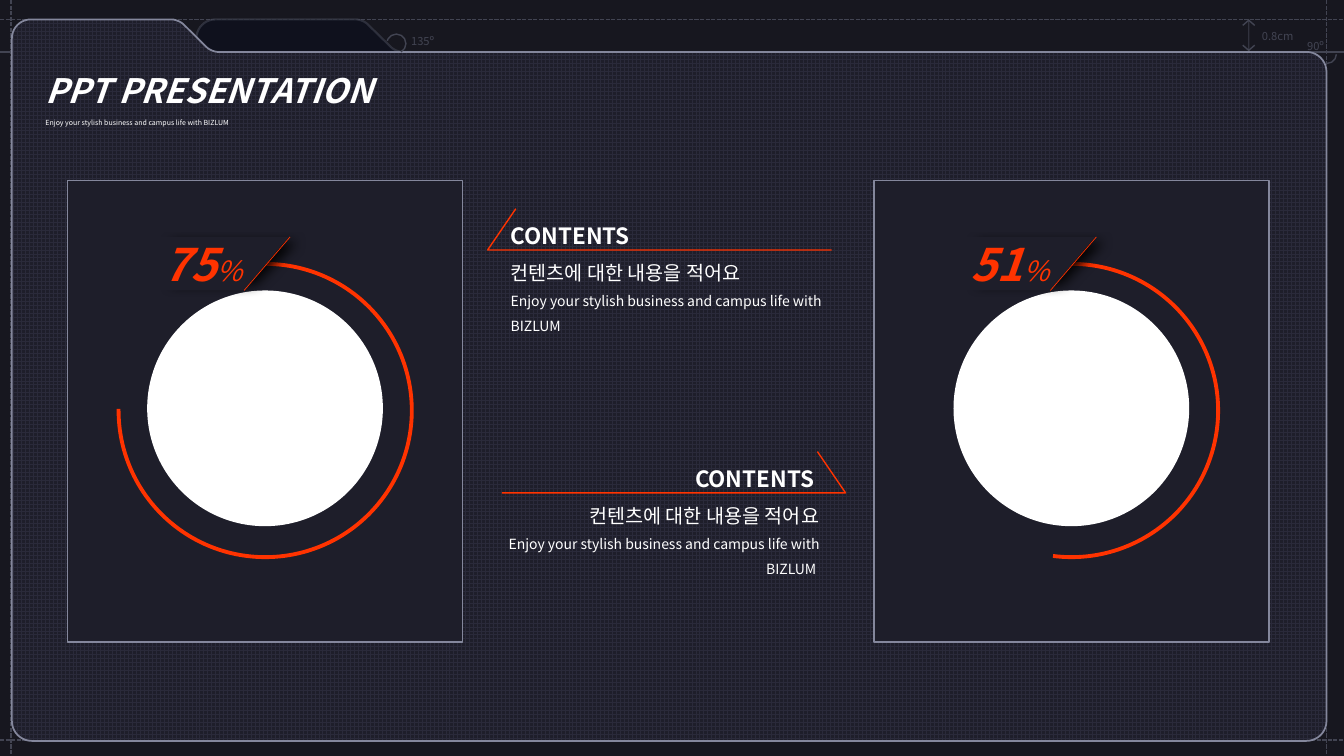
from pptx import Presentation
from pptx.dml.color import RGBColor
from pptx.enum.dml import MSO_LINE, MSO_PATTERN
from pptx.enum.shapes import MSO_CONNECTOR, MSO_SHAPE
from pptx.enum.text import MSO_ANCHOR, MSO_AUTO_SIZE, PP_ALIGN
from pptx.oxml import parse_xml
from pptx.oxml.ns import nsdecls, qn
from pptx.util import Cm, Pt

STRAIGHT = MSO_CONNECTOR.STRAIGHT
ARC, OVAL, RECT = MSO_SHAPE.ARC, MSO_SHAPE.OVAL, MSO_SHAPE.RECTANGLE
LEFT, RIGHT = PP_ALIGN.LEFT, PP_ALIGN.RIGHT
FONT = "Noto Sans CJK KR"
COLORS = {"back": "17171F", "guide": "424452", "tab": "0F111D", "tab_line": "4D505F",
          "grid": "2A2A3A", "panel": "1E1E2A", "edge": "84879C",
          "accent": "FF3300", "white": "FFFFFF"}

# Content; lengths in cm
TAGLINE = "Enjoy your stylish business and campus life with BIZLUM"
TITLE = [[("PPT PRESENTATION", 24, True, True)], [(TAGLINE, 5, False, False)]]
KOREAN = "컨텐츠에 대한 내용을 적어요"
# text left, top, alignment, trailing gap, pointer tip x, corner x, far end x
CONTENTS = [(12.62, 5.13, LEFT, "", 13.0, 12.29, 20.96),
            (12.52, 11.25, RIGHT, " ", 20.6, 21.31, 12.65)]
# panel left, percentage, end angle of the ring
GAUGES = [(1.7, "75", 180.6), (22.02, "51", 97.25)]
# left, top, width, wraps
GUIDE_LABELS = [("0.8cm", 31.55, 0.61, 1.6, True), ("90º", 32.69, 0.86, 0.99, False),
                ("135º", 10.11, 0.74, 1.12, False)]
# left, top, start angle, end angle
GUIDE_ARCS = [(33.2, 1.12, 2.2, 89.6), (9.75, 0.86, 196.6, 61.1)]
DASHED = [((0, 0.49), (33.9, 0.49)), ((0.28, 0), (0.28, 19.05)),
          ((33.43, 0), (33.43, 19.05)), ((0, 18.65), (33.87, 18.65))]
CHEVRONS = [(0.64, 0.51), (1.14, 1.27)]
# outline corners: x, y, rounding
BACK_TAB = [(4.95, 0.49, 0.48), (9.14, 0.49, 0.17), (9.98, 1.31, 0.17),
            (10.36, 1.31, 0), (10.36, 2.01, 0), (4.95, 2.01, 0)]
FRAME = [(0.3, 0.49, 0.48), (4.5, 0.49, 0.18), (5.33, 1.31, 0.17),
         (33.43, 1.31, 0.5), (33.43, 18.67, 0.5), (0.3, 18.67, 0.5)]

prs = Presentation()
prs.slide_width, prs.slide_height = Cm(33.87), Cm(19.05)
slide = prs.slides.add_slide(prs.slide_layouts[5])
shapes = slide.shapes


def rgb(name):
    return RGBColor.from_string(COLORS[name])


def set_fill(sp, color):
    sp.shadow.inherit = False
    if color:
        sp.fill.solid()
        sp.fill.fore_color.rgb = rgb(color)
    else:
        sp.fill.background()


def set_line(sp, color, width, alpha=None):
    if not color:
        sp.line.fill.background()
        return
    sp.line.color.rgb = rgb(color)
    sp.line.width = Pt(width)
    if alpha:
        clr = sp.line._ln.find(".//" + qn("a:srgbClr"))
        clr.append(parse_xml(f'<a:alpha {nsdecls("a")} val="{alpha * 1000}"/>'))


def add_line(start, end, color, width, alpha=None):
    c = shapes.add_connector(STRAIGHT, *(Cm(v) for v in start + end))
    set_line(c, color, width, alpha)
    c._element.spPr.append(parse_xml(f'<a:effectLst {nsdecls("a")}/>'))
    return c


def add_preset(kind, x, y, w, h, fill, line=None, width=1):
    sp = shapes.add_shape(kind, Cm(x), Cm(y), Cm(w), Cm(h))
    set_fill(sp, fill)
    set_line(sp, line, width)
    return sp


def add_arc(x, y, size, start, end, color, width):
    sp = add_preset(ARC, x, y, size, size, None, color, width)
    for i, angle in enumerate((start, end)):
        sp.adjustments[i] = angle * 0.6  # 60000 units per degree over 100000


def add_outline(points, closed, fill=None, line=None, width=1, alpha=None):
    pts = [(Cm(x), Cm(y)) for x, y in points]
    fb = shapes.build_freeform(*pts[0])
    fb.add_line_segments(pts[1:], close=closed)
    sp = fb.convert_to_shape()
    set_fill(sp, fill)
    set_line(sp, line, width, alpha)
    return sp


def rounded(corners, steps=10):
    """Replace each corner of a polygon by a short curve."""
    points = []
    for i, (x, y, r) in enumerate(corners):
        if not r:
            points.append((x, y))
            continue
        ends = []
        for nx, ny, _ in (corners[i - 1], corners[(i + 1) % len(corners)]):
            d = ((nx - x) ** 2 + (ny - y) ** 2) ** 0.5
            ends.append(((nx - x) * r / d, (ny - y) * r / d))
        (ax, ay), (bx, by) = ends
        for k in range(steps + 1):
            t = k / steps
            a = (1 - t) ** 3 + 3 * 0.45 * t * (1 - t) ** 2
            b = t ** 3 + 3 * 0.45 * t ** 2 * (1 - t)
            points.append((x + a * ax + b * bx, y + a * ay + b * by))
    return points


def write(tf, paragraphs, color, spacing=None, align=LEFT):
    for i, runs in enumerate(paragraphs):
        p = tf.paragraphs[0] if i == 0 else tf.add_paragraph()
        p.alignment = align
        if spacing:
            p.line_spacing = spacing[i]
        for text, size, bold, italic in runs:
            r = p.add_run()
            r.text = text
            f = r.font
            f.name, f.size, f.bold, f.italic = FONT, Pt(size), bold, italic
            f.color.rgb = rgb(color)
            f._element.find(qn("a:latin")).addnext(
                parse_xml(f'<a:ea {nsdecls("a")} typeface="{FONT}"/>'))


def add_text(x, y, w, h, paragraphs, color, wrap=True, **style):
    tf = shapes.add_textbox(Cm(x), Cm(y), Cm(w), Cm(h)).text_frame
    tf.word_wrap = wrap
    tf.auto_size = MSO_AUTO_SIZE.SHAPE_TO_FIT_TEXT
    write(tf, paragraphs, color, **style)


# Background and guides
slide.background.fill.solid()
slide.background.fill.fore_color.rgb = rgb("back")
for start, end in DASHED:
    add_line(start, end, "guide", 1).line.dash_style = MSO_LINE.SQUARE_DOT
add_outline(rounded(BACK_TAB), True, "tab", "tab_line", 1.5, 48)
add_line((0, 1.31), (33.87, 1.31), "guide", 1)
add_line((31.47, 0.49), (31.47, 1.3), "guide", 1, 61)
for wing, tip in CHEVRONS:
    add_outline([(31.32, wing), (31.47, tip), (31.62, wing)], False, None, "guide")

# Folder frame
frame = add_outline(rounded(FRAME), True, "panel", "edge", 1.25)
frame.fill.patterned()
frame.fill.pattern = MSO_PATTERN.LARGE_GRID
frame.fill.fore_color.rgb, frame.fill.back_color.rgb = rgb("grid"), rgb("panel")
for x, y, start, end in GUIDE_ARCS:
    add_arc(x, y, 0.48, start, end, "guide", 1)
for text, x, y, w, wrap in GUIDE_LABELS:
    add_text(x, y, w, 0.61, [[(text, 8, False, False)]], "guide", wrap)

# Title
title = shapes.title
frame._element.addnext(title._element)
title.left, title.top, title.width, title.height = Cm(0.89), Cm(1.63), Cm(15.88), Cm(1.65)
tf = title.text_frame
tf.word_wrap, tf.auto_size, tf.vertical_anchor = True, MSO_AUTO_SIZE.NONE, MSO_ANCHOR.TOP
write(tf, TITLE, "white", spacing=(1.0, 2.0))

# Gauge panels
for x, value, end in GAUGES:
    add_preset(RECT, x, 4.55, 9.96, 11.63, "panel", "edge", 1.25)
    add_arc(x + 1.29, 6.65, 7.39, 270, end, "accent", 2.75)
    add_preset(OVAL, x + 2.01, 7.32, 5.94, 5.94, "white")
    badge = add_outline([(x + 2.18, 5.97), (x + 5.58, 5.97), (x + 4.44, 7.32),
                         (x + 2.18, 7.32)], True, "panel")
    badge._element.spPr.find(qn("a:effectLst")).append(parse_xml(
        f'<a:outerShdw {nsdecls("a")} blurRad="{Pt(9)}" dist="{Pt(9)}" dir="0" sx="92000" '
        'sy="80000" algn="ctr" rotWithShape="0"><a:srgbClr val="000000">'
        '<a:alpha val="92000"/></a:srgbClr></a:outerShdw>'))
    badge.text_frame.vertical_anchor = MSO_ANCHOR.MIDDLE
    write(badge.text_frame, [[(value, 32, True, True), ("%", 20, False, True)]], "accent")
    add_line((x + 5.61, 5.97), (x + 4.45, 7.32), "accent", 0.5)

# Contents blocks with pointer lines
for x, y, align, gap, tip, corner, far in CONTENTS:
    add_text(x, y, 8.38, 3.38, [[("CONTENTS" + gap, 16, True, False)],
                                [(KOREAN, 14, False, False)],
                                [(TAGLINE + gap, 10, False, False)]],
             "white", spacing=(1.5, 1.5, 1.5), align=align)
    add_outline([(tip, y + 0.13), (corner, y + 1.17), (far, y + 1.17)], False, None, "accent")

prs.save("out.pptx")
